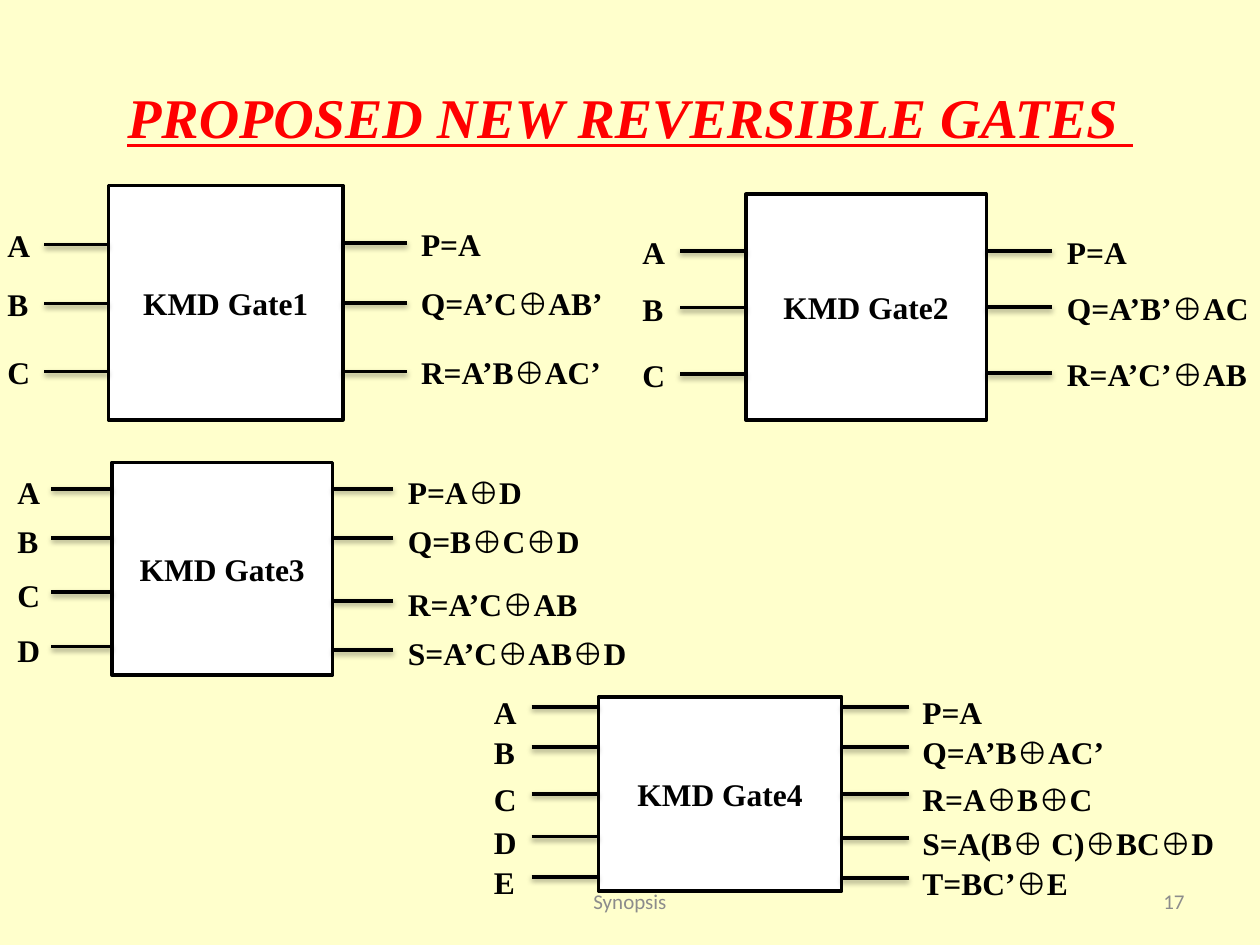
from lxml.etree import SubElement
from pptx import Presentation
from pptx.dml.color import RGBColor
from pptx.enum.shapes import MSO_CONNECTOR, MSO_SHAPE
from pptx.enum.text import MSO_ANCHOR, MSO_AUTO_SIZE, PP_ALIGN
from pptx.oxml.ns import qn
from pptx.util import Pt

COLORS = {"back": "FFFFCC", "title": "FF0000", "ink": "000000",
          "box": "FFFFFF", "foot": "8C8C8C"}
SERIF = "Times New Roman"

# box: left, top, width, height; lead: wire length; rise: label top above wire
# ins: wire heights; outs: wire height, formula, label width
GATES = [
    {"name": "KMD Gate1", "box": (62, 106, 134, 134), "lead": 36.7, "rise": 14,
     "in_x": -2.9, "out_x": 233.5, "ins": (139.7, 173.5, 212.4),
     "outs": [(139, "P=A", 49), (173, "Q=A’C⊕AB’", 119),
              (212.4, "R=A’B⊕AC’", 118)]},
    {"name": "KMD Gate2", "box": (426.2, 111, 137.5, 129), "lead": 37.6, "rise": 13.8,
     "in_x": 360, "out_x": 602.6, "ins": (143.3, 175.7, 213.8),
     "outs": [(143.3, "P=A", 49), (175.5, "Q=A’B’⊕AC", 119),
              (213.3, "R=A’C’⊕AB", 118)]},
    {"name": "KMD Gate3", "box": (64, 264.2, 126, 121.7), "lead": 34.6, "rise": 12.6,
     "in_x": 2.9, "out_x": 226, "ins": (279.4, 307.4, 338.4, 369.4),
     "outs": [(279.4, "P=A⊕D", 80), (307.4, "Q=B⊕C⊕D", 113),
              (343.4, "R=A’C⊕AB", 112), (371.5, "S=A’C⊕AB⊕D", 140)]},
    {"name": "KMD Gate4", "box": (342, 398.2, 139, 111), "lead": 38.2, "rise": 11.5,
     "in_x": 275.2, "out_x": 520, "ins": (403.9, 427, 453.6, 478.1, 501.1),
     "outs": [(403.9, "P=A", 49), (427, "Q=A’B⊕AC’", 119),
              (453.6, "R=A⊕B⊕C", 112), (478.8, "S=A(B⊕ C)⊕BC⊕D", 181),
              (501.8, "T=BC’⊕E", 98)]},
]


def paint(key):
    return RGBColor.from_string(COLORS[key])


def write(shape, text, size=18, face=SERIF, color="ink", bold=True, italic=False,
          under=False, align=PP_ALIGN.LEFT, anchor=MSO_ANCHOR.TOP, wrap=True):
    frame = shape.text_frame
    frame.word_wrap = wrap
    frame.vertical_anchor = anchor
    para = frame.paragraphs[0]
    para.alignment = align
    run = para.add_run()
    run.text = text
    font = run.font
    font.size, font.name = Pt(size), face
    font.bold, font.italic, font.underline = bold, italic, under
    font.color.rgb = paint(color)


def label(shapes, x, y, wide, text):
    box = shapes.add_textbox(Pt(x), Pt(y), Pt(wide), Pt(29))
    write(box, text, wrap=False)
    box.text_frame.auto_size = MSO_AUTO_SIZE.SHAPE_TO_FIT_TEXT


def wire(shapes, x, y, span):
    """Draw a level line with a soft shadow below it."""
    line = shapes.add_connector(MSO_CONNECTOR.STRAIGHT, Pt(x), Pt(y), Pt(x + span), Pt(y))
    line.line.width = Pt(2)
    line.line.color.rgb = paint("ink")
    effects = SubElement(line._element.spPr, qn("a:effectLst"))
    shade = SubElement(effects, qn("a:outerShdw"), blurRad=str(Pt(3.1)),
                       dist=str(Pt(1.6)), dir="5400000", rotWithShape="0")
    tint = SubElement(shade, qn("a:srgbClr"), val=COLORS["ink"])
    SubElement(tint, qn("a:alpha"), val="38000")


def block(shapes, name, box):
    rect = shapes.add_shape(MSO_SHAPE.RECTANGLE, *map(Pt, box))
    rect.shadow.inherit = False
    rect.fill.solid()
    rect.fill.fore_color.rgb = paint("box")
    rect.line.color.rgb = paint("ink")
    rect.line.width = Pt(2)
    write(rect, name, align=PP_ALIGN.CENTER, anchor=MSO_ANCHOR.MIDDLE)


def gate(slide, name, box, lead, rise, in_x, out_x, ins, outs):
    shapes = slide.shapes.add_group_shape().shapes
    block(shapes, name, box)
    left, _, width, _ = box
    for letter, y in zip("ABCDE", ins):
        wire(shapes, left - lead, y, lead)
        label(shapes, in_x, y - rise, 27, letter)
    for y, text, wide in outs:
        wire(shapes, left + width, y, lead)
        label(shapes, out_x, y - rise, wide, text)


def footer(slide, x, wide, text, align):
    box = slide.shapes.add_textbox(Pt(x), Pt(500.5), Pt(wide), Pt(29))
    write(box, text, size=12, face="Calibri", color="foot", bold=False,
          align=align, anchor=MSO_ANCHOR.MIDDLE)


def main():
    deck = Presentation()
    deck.slide_width, deck.slide_height = Pt(720), Pt(540)
    slide = deck.slides.add_slide(deck.slide_layouts[5])
    slide.background.fill.solid()
    slide.background.fill.fore_color.rgb = paint("back")

    title = slide.shapes.title
    title.left, title.top, title.width, title.height = map(Pt, (36, 21.6, 648, 90))
    write(title, "PROPOSED NEW REVERSIBLE GATES ", size=32, color="title", italic=True,
          under=True, align=PP_ALIGN.CENTER, anchor=MSO_ANCHOR.MIDDLE)
    for item in GATES:
        gate(slide, **item)
    footer(slide, 246, 228, "Synopsis", PP_ALIGN.CENTER)
    footer(slide, 516, 168, "17", PP_ALIGN.RIGHT)
    deck.save("out.pptx")


if __name__ == "__main__":
    main()
